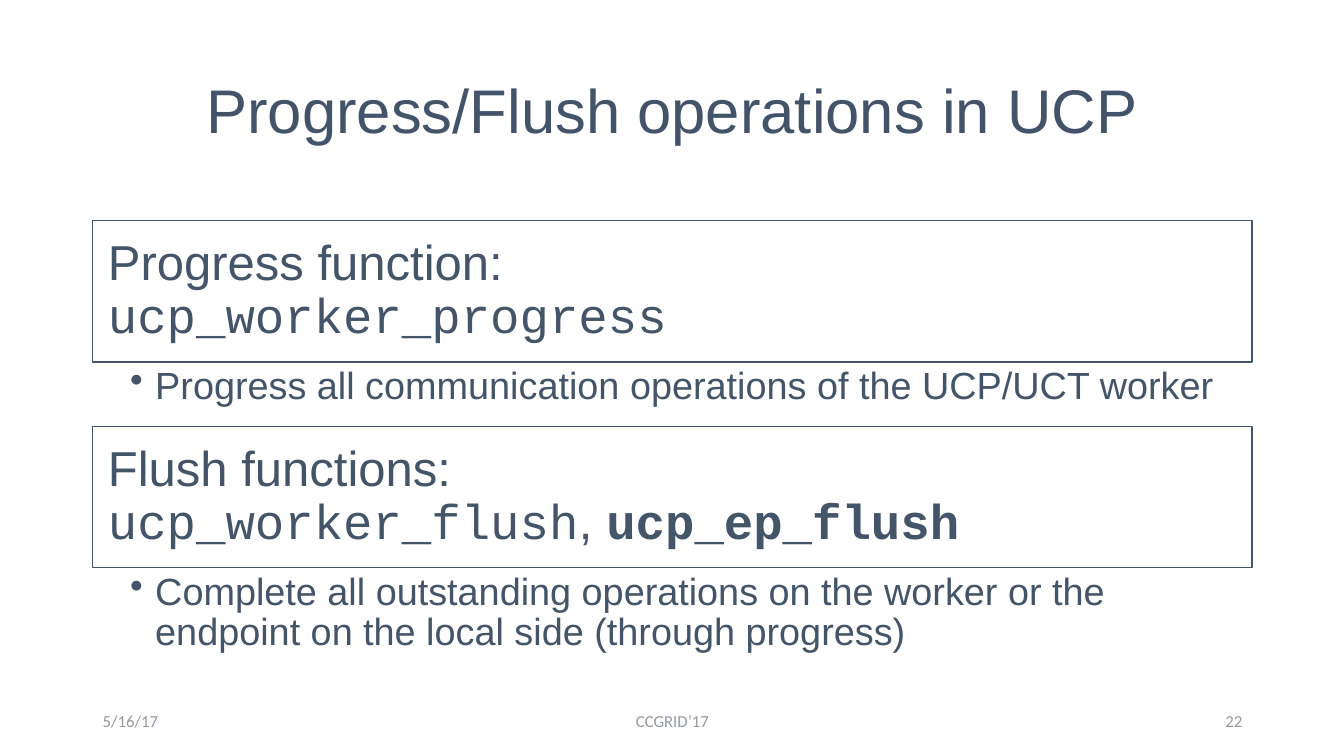
from lxml import etree
from pptx import Presentation
from pptx.dml.color import RGBColor
from pptx.enum.shapes import MSO_SHAPE
from pptx.enum.text import MSO_ANCHOR, PP_ALIGN
from pptx.oxml.ns import qn
from pptx.util import Inches, Pt

RECTANGLE = MSO_SHAPE.RECTANGLE
TOP, MIDDLE = MSO_ANCHOR.TOP, MSO_ANCHOR.MIDDLE
LEFT, CENTER, RIGHT = PP_ALIGN.LEFT, PP_ALIGN.CENTER, PP_ALIGN.RIGHT

WHITE = RGBColor(0xFF, 0xFF, 0xFF)
TITLE_COLOR = RGBColor(0x43, 0x53, 0x69)
SLATE = RGBColor(0x44, 0x54, 0x69)
FOOTER_GRAY = RGBColor(0x94, 0x99, 0xA1)

TEXT_FONT = "Arial"
CODE_FONT = "Courier New"
FOOTER_FONT = "Calibri"

MARGIN = 0.92
CONTENT_WIDTH = 11.5
HEADING_HEIGHT = 1.4
FOOTER_TOP = 6.95

SECTIONS = [
    (
        2.19,
        "Progress function:",
        [("ucp_worker_progress", CODE_FONT, False)],
        "Progress all communication operations of the UCP/UCT worker",
        0.63,
    ),
    (
        4.23,
        "Flush functions:",
        [
            ("ucp_worker_flush", CODE_FONT, False),
            (", ", TEXT_FONT, False),
            ("ucp_ep_flush", CODE_FONT, True),
        ],
        "Complete all outstanding operations on the worker or the "
        "endpoint on the local side (through progress)",
        0.93,
    ),
]

FOOTERS = [
    (MARGIN, 3, "5/16/17", LEFT),
    (4.42, 4.5, "CCGRID’17", CENTER),
    (9.42, 3, "22", RIGHT),
]


def add_run(paragraph, text, font, size, color, bold=False):
    run = paragraph.add_run()
    run.text = text
    run.font.name = font
    run.font.size = Pt(size)
    run.font.color.rgb = color
    run.font.bold = bold


def set_frame(shape, anchor, left=0.1, top=0.05, right=0.1, bottom=0.05):
    frame = shape.text_frame
    frame.word_wrap = True
    frame.vertical_anchor = anchor
    frame.margin_left = Inches(left)
    frame.margin_top = Inches(top)
    frame.margin_right = Inches(right)
    frame.margin_bottom = Inches(bottom)
    return frame.paragraphs[0]


def add_text_box(slide, left, top, width, height):
    return slide.shapes.add_textbox(
        Inches(left), Inches(top), Inches(width), Inches(height)
    )


def add_title(slide, text):
    box = add_text_box(slide, MARGIN, 0.4, CONTENT_WIDTH, 1.45)
    paragraph = set_frame(box, MIDDLE)
    paragraph.alignment = CENTER
    paragraph.line_spacing = 0.9
    add_run(paragraph, text, TEXT_FONT, 44, TITLE_COLOR)


def add_heading(slide, top, label, functions):
    shape = slide.shapes.add_shape(
        RECTANGLE,
        Inches(MARGIN),
        Inches(top),
        Inches(CONTENT_WIDTH),
        Inches(HEADING_HEIGHT),
    )
    shape.shadow.inherit = False
    shape.fill.solid()
    shape.fill.fore_color.rgb = WHITE
    shape.line.color.rgb = SLATE
    shape.line.width = Pt(1)
    paragraph = set_frame(shape, MIDDLE, 0.15, 0.15, 0.15, 0.15)
    paragraph.alignment = LEFT
    paragraph.line_spacing = 0.9
    add_run(paragraph, label, TEXT_FONT, 35, SLATE)
    paragraph.add_line_break()
    for text, font, bold in functions:
        add_run(paragraph, text, font, 35, SLATE, bold)


def add_bullet(slide, top, height, text):
    box = add_text_box(slide, MARGIN, top, CONTENT_WIDTH, height)
    paragraph = set_frame(box, TOP, left=0.37, right=0.27)
    properties = paragraph._p.get_or_add_pPr()
    properties.set("marL", str(Inches(0.25)))
    properties.set("indent", str(Inches(-0.25)))
    etree.SubElement(properties, qn("a:buChar")).set("char", "•")
    paragraph.level = 1
    paragraph.line_spacing = 0.9
    add_run(paragraph, text, TEXT_FONT, 27, SLATE)


def add_footer(slide, left, width, text, alignment):
    box = add_text_box(slide, left, FOOTER_TOP, width, 0.4)
    paragraph = set_frame(box, MIDDLE)
    paragraph.alignment = alignment
    add_run(paragraph, text, FOOTER_FONT, 12, FOOTER_GRAY)


def main():
    presentation = Presentation()
    presentation.slide_width = Inches(13.33)
    presentation.slide_height = Inches(7.5)
    slide = presentation.slides.add_slide(presentation.slide_layouts[6])

    add_title(slide, "Progress/Flush operations in UCP")
    for top, label, functions, description, height in SECTIONS:
        add_heading(slide, top, label, functions)
        add_bullet(slide, top + HEADING_HEIGHT, height, description)
    for left, width, text, alignment in FOOTERS:
        add_footer(slide, left, width, text, alignment)

    presentation.save("out.pptx")


if __name__ == "__main__":
    main()
